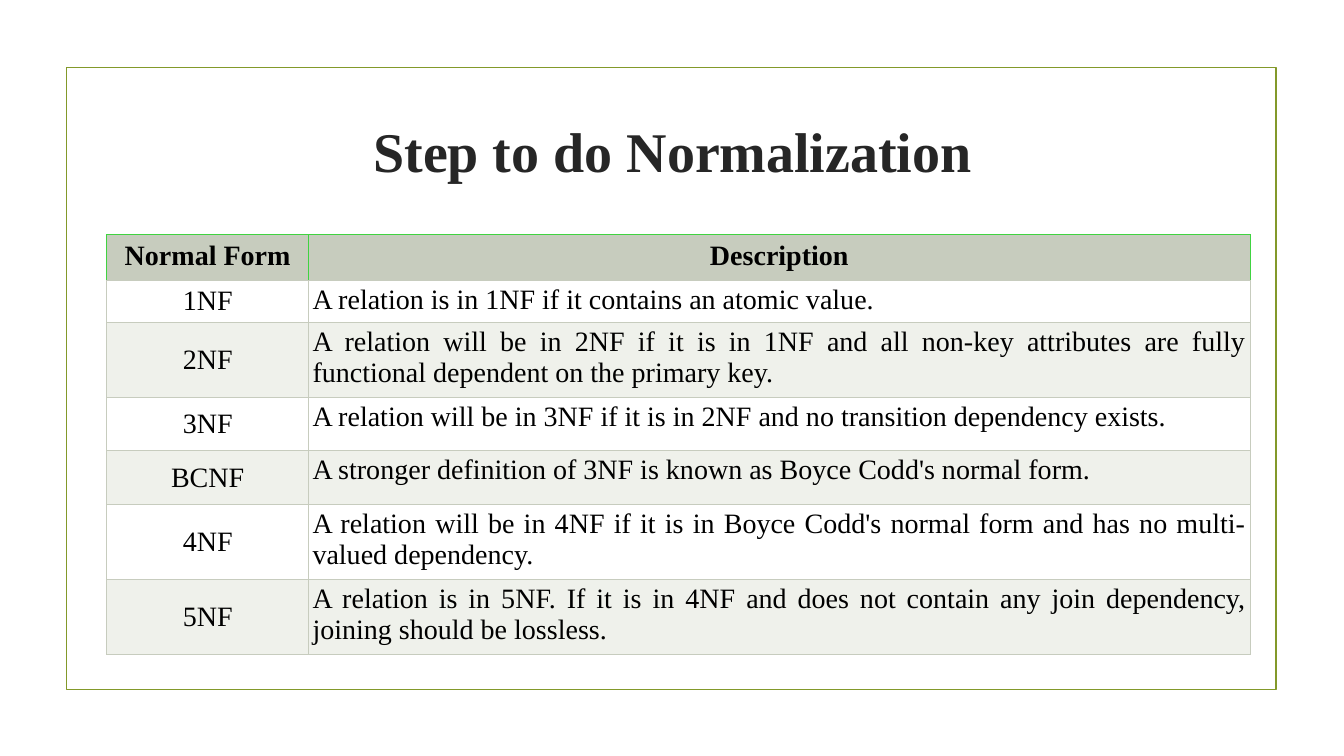
"""Build the slide that lists the steps of normalization."""
from dataclasses import dataclass

from lxml.etree import SubElement
from pptx import Presentation
from pptx.dml.color import RGBColor
from pptx.enum.shapes import MSO_SHAPE
from pptx.enum.text import MSO_ANCHOR, PP_ALIGN
from pptx.oxml.ns import qn
from pptx.slide import Slide
from pptx.table import _Cell
from pptx.text.text import TextFrame
from pptx.util import Inches, Pt

FONT_NAME = "Times New Roman"
OLIVE = RGBColor(0x83, 0x99, 0x2A)
CHARCOAL = RGBColor(0x26, 0x26, 0x26)
BLACK = RGBColor(0x00, 0x00, 0x00)
WHITE = RGBColor(0xFF, 0xFF, 0xFF)
SAGE = RGBColor(0xC7, 0xCC, 0xBE)
PALE_SAGE = RGBColor(0xEF, 0xF1, 0xEB)
GREEN = RGBColor(0x40, 0xD3, 0x41)

BORDER_SIDES = ("lnL", "lnR", "lnT", "lnB")
COLUMN_WIDTHS = (2, 9.34)
TITLE_FORMAT = {"name": FONT_NAME, "size": Pt(40), "bold": True}
HEADER_FORMAT = {"name": FONT_NAME, "size": Pt(20), "bold": True}
BODY_FORMAT = {"name": FONT_NAME, "size": Pt(20), "bold": False}


@dataclass(frozen=True)
class NormalForm:
    name: str
    description: str
    height: float


@dataclass(frozen=True)
class CellStyle:
    font: dict
    fill: RGBColor
    borders: tuple[RGBColor, ...]
    margin: float
    anchor: MSO_ANCHOR
    alignment: PP_ALIGN


HEADER = NormalForm("Normal Form", "Description", 0.43)
NORMAL_FORMS = (
    NormalForm("1NF", "A relation is in 1NF if it contains an atomic value.", 0.39),
    NormalForm(
        "2NF",
        "A relation will be in 2NF if it is in 1NF and all non-key attributes "
        "are fully functional dependent on the primary key.",
        0.7,
    ),
    NormalForm(
        "3NF",
        "A relation will be in 3NF if it is in 2NF and no transition dependency exists.",
        0.53,
    ),
    NormalForm(
        "BCNF",
        "A stronger definition of 3NF is known as Boyce Codd's normal form.",
        0.53,
    ),
    NormalForm(
        "4NF",
        "A relation will be in 4NF if it is in Boyce Codd's normal form "
        "and has no multi-valued dependency.",
        0.7,
    ),
    NormalForm(
        "5NF",
        "A relation is in 5NF. If it is in 4NF and does not contain any join "
        "dependency, joining should be lossless.",
        0.7,
    ),
)


def write_text(
    frame: TextFrame, text: str, font: dict, color: RGBColor, alignment: PP_ALIGN
) -> None:
    """Fill a text frame with one formatted paragraph."""
    paragraph = frame.paragraphs[0]
    paragraph.alignment = alignment
    run = paragraph.add_run()
    run.text = text
    for attribute, value in font.items():
        setattr(run.font, attribute, value)
    run.font.color.rgb = color


def add_frame(slide: Slide) -> None:
    """Draw the olive outline around the content."""
    shape = slide.shapes.add_shape(
        MSO_SHAPE.RECTANGLE, Inches(0.66), Inches(0.67), Inches(12), Inches(6.17)
    )
    shape.shadow.inherit = False
    shape.fill.background()
    shape.line.color.rgb = OLIVE
    shape.line.width = Pt(1.25)


def add_title(slide: Slide) -> None:
    """Add the centred heading."""
    shape = slide.shapes.add_textbox(
        Inches(1.42), Inches(0.77), Inches(10.5), Inches(1.43)
    )
    frame = shape.text_frame
    frame.word_wrap = True
    frame.vertical_anchor = MSO_ANCHOR.MIDDLE
    write_text(
        frame, "Step to do Normalization", TITLE_FORMAT, CHARCOAL, PP_ALIGN.CENTER
    )


def set_borders(cell: _Cell, colors: tuple[RGBColor, ...]) -> None:
    """Give the four sides of a cell thin solid lines."""
    properties = cell._tc.get_or_add_tcPr()
    for side, color in zip(BORDER_SIDES, colors):
        line = SubElement(properties, qn(f"a:{side}"), w=str(Pt(0.75)))
        fill = SubElement(line, qn("a:solidFill"))
        SubElement(fill, qn("a:srgbClr"), val=str(color))


def write_cell(cell: _Cell, text: str, style: CellStyle) -> None:
    """Write and format one table cell."""
    set_borders(cell, style.borders)
    cell.fill.solid()
    cell.fill.fore_color.rgb = style.fill
    cell.vertical_anchor = style.anchor
    for side in ("left", "right", "top", "bottom"):
        setattr(cell, f"margin_{side}", Inches(style.margin))
    write_text(cell.text_frame, text, style.font, BLACK, style.alignment)


def choose_style(row: int, column: int) -> CellStyle:
    """Return the style that belongs to a place in the table."""
    if row == 0:
        borders = (GREEN, GREEN, GREEN, SAGE)
        return CellStyle(
            HEADER_FORMAT, SAGE, borders, 0.06, MSO_ANCHOR.TOP, PP_ALIGN.CENTER
        )
    fill = WHITE if row % 2 else PALE_SAGE
    anchor = MSO_ANCHOR.TOP if column else MSO_ANCHOR.MIDDLE
    alignment = PP_ALIGN.JUSTIFY if column else PP_ALIGN.CENTER
    return CellStyle(BODY_FORMAT, fill, (SAGE,) * 4, 0.04, anchor, alignment)


def add_normal_form_table(slide: Slide) -> None:
    """Add the table of normal forms and their descriptions."""
    rows = (HEADER, *NORMAL_FORMS)
    table = slide.shapes.add_table(
        len(rows),
        len(COLUMN_WIDTHS),
        Inches(1.06),
        Inches(2.33),
        Inches(sum(COLUMN_WIDTHS)),
        Inches(sum(row.height for row in rows)),
    ).table
    for column, width in zip(table.columns, COLUMN_WIDTHS):
        column.width = Inches(width)
    for row_index, row in enumerate(rows):
        table.rows[row_index].height = Inches(row.height)
        for column_index, text in enumerate((row.name, row.description)):
            style = choose_style(row_index, column_index)
            write_cell(table.cell(row_index, column_index), text, style)


def main() -> None:
    """Create and save the presentation."""
    presentation = Presentation()
    presentation.slide_width = Inches(13.33)
    presentation.slide_height = Inches(7.5)
    slide = presentation.slides.add_slide(presentation.slide_layouts[6])
    add_frame(slide)
    add_title(slide)
    add_normal_form_table(slide)
    presentation.save("out.pptx")


if __name__ == "__main__":
    main()
